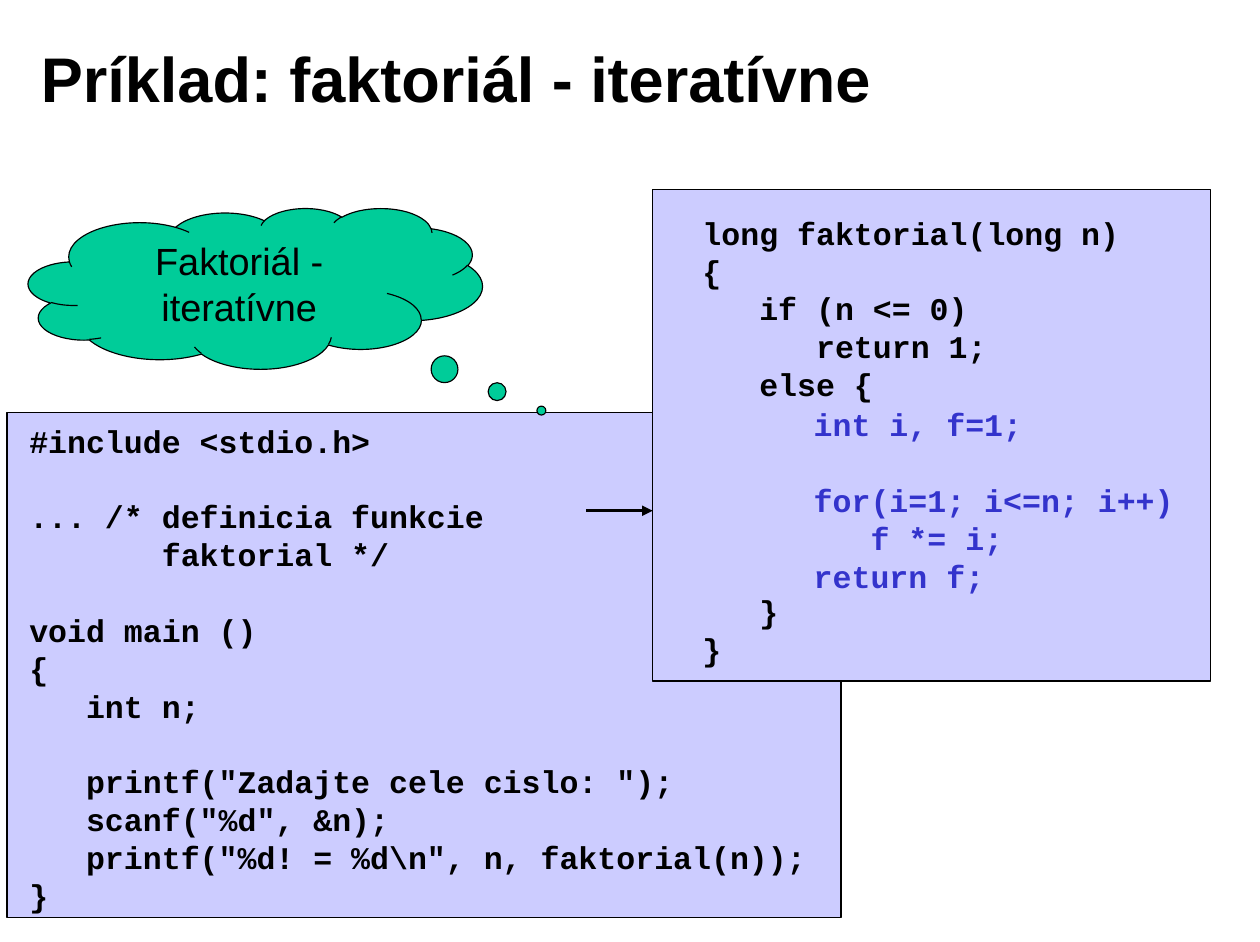
from pptx import Presentation
from pptx.dml.color import RGBColor
from pptx.enum.shapes import MSO_CONNECTOR, MSO_SHAPE
from pptx.enum.text import MSO_ANCHOR, MSO_AUTO_SIZE, PP_ALIGN
from pptx.oxml.ns import qn
from pptx.util import Pt
from lxml.etree import SubElement

COLORS = {"black": "000000", "panel": "CCCCFF", "cloud": "00CC99", "loop": "3333CC"}

MAIN_CODE = r'''#include <stdio.h>

... /* definicia funkcie
       faktorial */

void main ()
{
   int n;

   printf("Zadajte cele cislo: ");
   scanf("%d", &n);
   printf("%d! = %d\n", n, faktorial(n));
}'''

FUNCTION_CODE = '''long faktorial(long n)
{
   if (n <= 0)
      return 1;
   else {





   }
}'''

LOOP_CODE = '''      int i, f=1;

      for(i=1; i<=n; i++)
         f *= i;
      return f;'''


class SlideBuilder:
    text_font = "Arial"
    code_font = "Courier New"
    code_size = 20
    code_pitch = 24

    def __init__(self, prs):
        self.s = prs.slides.add_slide(prs.slide_layouts[5])

    def color(self, name):
        return RGBColor.from_string(COLORS[name])

    def style(self, p, font, size, color="black", bold=False):
        for r in p.runs:
            r.font.name = font
            r.font.size = Pt(size)
            r.font.bold = bold
            r.font.color.rgb = self.color(color)

    def title(self, text, x, y, w, h):
        sp = self.s.shapes.title
        sp.left, sp.top, sp.width, sp.height = Pt(x), Pt(y), Pt(w), Pt(h)
        tf = sp.text_frame
        tf.text = text
        tf.vertical_anchor = MSO_ANCHOR.MIDDLE
        tf.margin_left = tf.margin_right = Pt(8)
        tf.margin_top = tf.margin_bottom = Pt(4)
        p = tf.paragraphs[0]
        p.alignment = PP_ALIGN.LEFT
        self.style(p, self.text_font, 40, bold=True)

    def shape(self, kind, fill, x, y, w, h):
        sp = self.s.shapes.add_shape(kind, Pt(x), Pt(y), Pt(w), Pt(h))
        sp.shadow.inherit = False
        sp.fill.solid()
        sp.fill.fore_color.rgb = self.color(fill)
        sp.line.color.rgb = self.color("black")
        sp.line.width = Pt(0.75)
        return sp

    def cloud(self, text, x, y, w, h):
        sp = self.shape(MSO_SHAPE.CLOUD_CALLOUT, "cloud", x, y, w, h)
        sp.adjustments[0], sp.adjustments[1] = 0.63, 0.76
        tf = sp.text_frame
        tf.text = text
        tf.word_wrap = True
        tf.vertical_anchor = MSO_ANCHOR.TOP
        p = tf.paragraphs[0]
        p.alignment = PP_ALIGN.CENTER
        self.style(p, self.text_font, 24)

    def arrow(self, x1, y1, x2, y2):
        c = self.s.shapes.add_connector(
            MSO_CONNECTOR.STRAIGHT, Pt(x1), Pt(y1), Pt(x2), Pt(y2))
        c.line.color.rgb = self.color("black")
        c.line.width = Pt(2.25)
        ln = c._element.spPr.find(qn("a:ln"))
        SubElement(ln, qn("a:tailEnd"), type="triangle")
        SubElement(c._element.spPr, qn("a:effectLst"))

    def code(self, text, x, y, w, h, color="black"):
        sp = self.s.shapes.add_textbox(Pt(x), Pt(y), Pt(w), Pt(h))
        tf = sp.text_frame
        tf.word_wrap = False
        tf.auto_size = MSO_AUTO_SIZE.SHAPE_TO_FIT_TEXT
        gap = 0
        p = tf.paragraphs[0]
        for line in text.split("\n"):
            if not line:
                gap += self.code_pitch
                continue
            if p.text:
                p = tf.add_paragraph()
            p.text = line
            p.line_spacing = Pt(self.code_pitch)
            p.space_before = Pt(gap)
            self.style(p, self.code_font, self.code_size, color, bold=True)
            gap = 0


def main():
    prs = Presentation()
    prs.slide_width, prs.slide_height = Pt(799.2), Pt(597.6)
    b = SlideBuilder(prs)
    b.title("Príklad: faktoriál - iteratívne", 18, 12, 642, 73.5)
    b.shape(MSO_SHAPE.RECTANGLE, "panel", 4.5, 261.5, 529, 320.5)
    b.shape(MSO_SHAPE.RECTANGLE, "panel", 414, 120, 354, 312)
    b.arrow(372, 324, 414, 324)
    b.code(FUNCTION_CODE, 438.5, 132, 281, 295)
    b.code(MAIN_CODE, 11.5, 264, 510, 320)
    b.cloud("Faktoriál - iteratívne", 18, 132, 288, 102)
    b.code(LOOP_CODE, 437, 253.5, 317, 127.5, "loop")
    prs.save("out.pptx")


if __name__ == "__main__":
    main()
